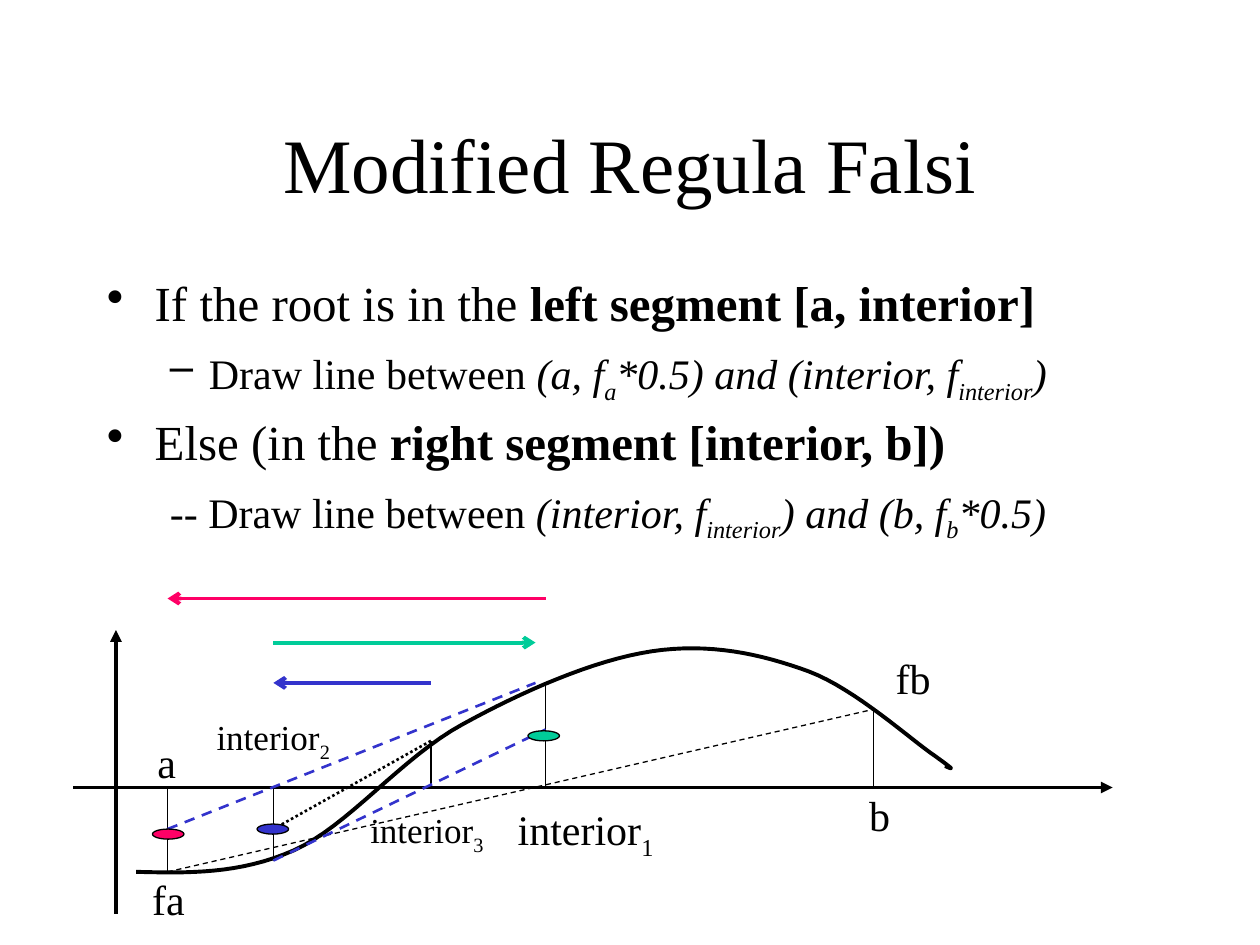
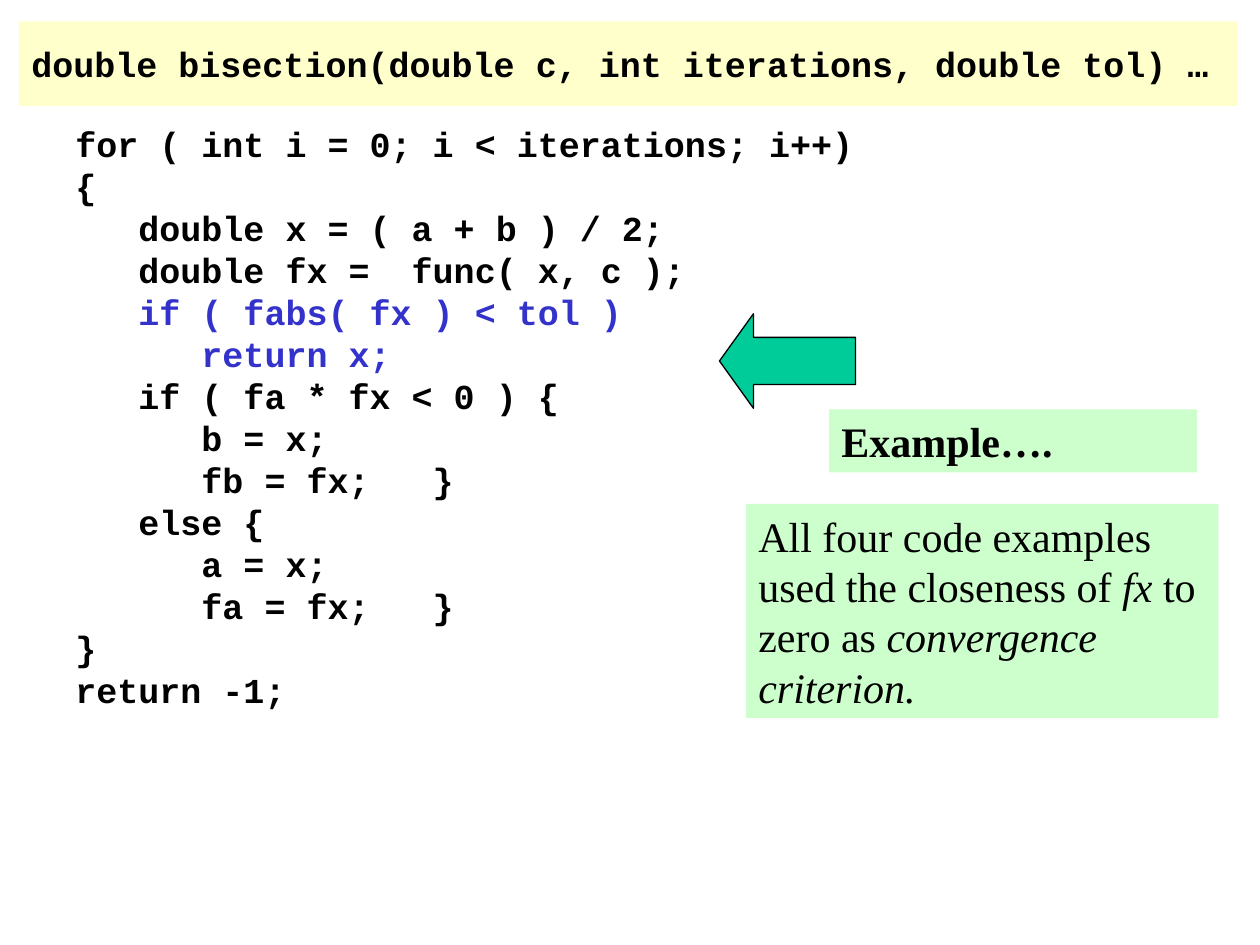
from lxml import etree
from pptx import Presentation
from pptx.dml.color import RGBColor
from pptx.enum.dml import MSO_LINE
from pptx.enum.shapes import MSO_CONNECTOR, MSO_SHAPE
from pptx.enum.text import MSO_ANCHOR, MSO_AUTO_SIZE, PP_ALIGN
from pptx.oxml.ns import qn
from pptx.util import Inches, Pt

STRAIGHT = MSO_CONNECTOR.STRAIGHT
DASH = MSO_LINE.DASH
DOT = MSO_LINE.ROUND_DOT
OVAL = MSO_SHAPE.OVAL
RECTANGLE = MSO_SHAPE.RECTANGLE
LEFT_ARROW = MSO_SHAPE.LEFT_ARROW
MIDDLE = MSO_ANCHOR.MIDDLE
TOP = MSO_ANCHOR.TOP
CENTER = PP_ALIGN.CENTER
LEFT = PP_ALIGN.LEFT
NO_AUTOFIT = MSO_AUTO_SIZE.NONE

TITLE_ONLY, BLANK = 5, 6
SERIF, MONO = "Times New Roman", "Courier New"
BLACK, BLUE, GREEN, PINK = "000000", "3333CC", "00CC99", "FF0066"
PALE_YELLOW, PALE_GREEN = "FFFFCC", "CCFFCC"

AXIS_Y = 6.25
A_X, INTERIOR_2_X, INTERIOR_3_X, INTERIOR_1_X, B_X = 1.33, 2.17, 3.42, 4.33, 6.93
FA_Y, INTERIOR_2_Y, INTERIOR_3_Y, INTERIOR_1_Y, FB_Y = 6.92, 6.83, 5.88, 5.42, 5.63

CURVE_START = (1.08, 6.92)
CURVE_SEGMENTS = [
    ((1.49, 6.93), (1.9, 6.94), (2.33, 6.75)),
    ((2.76, 6.56), (3.19, 6.01), (3.67, 5.75)),
    ((4.14, 5.49), (4.71, 5.24), (5.17, 5.17)),
    ((5.63, 5.1), (6.04, 5.19), (6.42, 5.33)),
    ((6.79, 5.47), (7.24, 5.88), (7.42, 6)),
    ((7.6, 6.13), (7.55, 6.1), (7.5, 6.08)),
]
STEPS = 16

CODE = """for ( int i = 0; i < iterations; i++)
{
   double x = ( a + b ) / 2;
   double fx =  func( x, c );
   if ( fabs( fx ) < tol )
      return x;
   if ( fa * fx < 0 ) {
      b = x;
      fb = fx;   }
   else {
      a = x;
      fa = fx;   }
}
return -1;"""
HIGHLIGHTED_CODE = ("if ( fabs( fx ) < tol )", "return x;")


def rgb(color):
    return RGBColor.from_string(color)


def write_text(paragraph, text, font=SERIF, size=24, color=BLACK,
               bold=False, italic=False, subscript=False):
    run = paragraph.add_run()
    run.text = text
    run.font.name = font
    run.font.size = Pt(size)
    run.font.color.rgb = rgb(color)
    run.font.bold = bold
    run.font.italic = italic
    if subscript:
        run.font._element.set("baseline", "-25000")


def prepare_frame(shape, anchor=TOP, wrap=True):
    frame = shape.text_frame
    frame.auto_size = NO_AUTOFIT
    frame.word_wrap = wrap
    frame.vertical_anchor = anchor
    frame.paragraphs[0].alignment = LEFT
    return frame


def next_paragraph(frame, index):
    return frame.add_paragraph() if index else frame.paragraphs[0]


def add_text_box(slide, left, top, width, height, wrap=True):
    box = slide.shapes.add_textbox(Inches(left), Inches(top), Inches(width), Inches(height))
    return prepare_frame(box, wrap=wrap)


def add_title(slide, text):
    title = slide.shapes.title
    title.left, title.top = Inches(0.75), Inches(0.67)
    title.width, title.height = Inches(8.5), Inches(1.25)
    paragraph = prepare_frame(title, MIDDLE).paragraphs[0]
    paragraph.alignment = CENTER
    write_text(paragraph, text, size=44)


def add_bullets(slide, bullets):
    frame = add_text_box(slide, 0.75, 2.17, 8.5, 2.5)
    for index, (level, symbol, runs) in enumerate(bullets):
        paragraph = next_paragraph(frame, index)
        paragraph.level = level
        margin, indent = ((0.38, -0.38), (0.81, -0.31))[level]
        properties = paragraph._p.get_or_add_pPr()
        properties.set("marL", str(Inches(margin)))
        properties.set("indent", str(Inches(indent)))
        if symbol:
            etree.SubElement(properties, qn("a:buChar")).set("char", symbol)
        else:
            etree.SubElement(properties, qn("a:buNone"))
        paragraph.line_spacing = 0.9
        if index:
            paragraph.space_before = Pt((10.5, 9)[level])
        for text, style in runs:
            write_text(paragraph, text, size=(28, 24)[level], **style)


def add_label(slide, text, left, top, width, height=0.5, number="", size=24):
    paragraph = add_text_box(slide, left, top, width, height, wrap=False).paragraphs[0]
    write_text(paragraph, text, size=size)
    if number:
        write_text(paragraph, number, size=size, subscript=True)


def add_line(slide, start, end, color=BLACK, width=0.75, dash=None, head=None, tail=None):
    connector = slide.shapes.add_connector(STRAIGHT, *map(Inches, (*start, *end)))
    connector.line.color.rgb = rgb(color)
    connector.line.width = Pt(width)
    if dash:
        connector.line.dash_style = dash
    outline = connector.line._get_or_add_ln()
    for tag, kind in (("a:headEnd", head), ("a:tailEnd", tail)):
        if kind:
            etree.SubElement(outline, qn(tag)).set("type", kind)
    etree.SubElement(connector._element.spPr, qn("a:effectLst"))


def add_filled_shape(slide, kind, left, top, width, height, fill, outlined=False):
    shape = slide.shapes.add_shape(kind, Inches(left), Inches(top), Inches(width), Inches(height))
    shape.shadow.inherit = False
    shape.fill.solid()
    shape.fill.fore_color.rgb = rgb(fill)
    if outlined:
        shape.line.color.rgb = rgb(BLACK)
        shape.line.width = Pt(0.75)
    else:
        shape.line.fill.background()
    return shape


def add_panel(slide, left, top, width, height, fill, runs, anchor=TOP):
    panel = add_filled_shape(slide, RECTANGLE, left, top, width, height, fill)
    paragraph = prepare_frame(panel, anchor).paragraphs[0]
    for text, style in runs:
        write_text(paragraph, text, **style)


def bezier_point(points, t):
    weights = ((1 - t) ** 3, 3 * t * (1 - t) ** 2, 3 * t ** 2 * (1 - t), t ** 3)
    return tuple(Inches(sum(w * p[axis] for w, p in zip(weights, points))) for axis in (0, 1))


def add_function_curve(slide):
    builder = slide.shapes.build_freeform(*map(Inches, CURVE_START))
    start = CURVE_START
    vertices = []
    for segment in CURVE_SEGMENTS:
        vertices += [bezier_point((start, *segment), step / STEPS) for step in range(1, STEPS + 1)]
        start = segment[-1]
    builder.add_line_segments(vertices, close=False)
    curve = builder.convert_to_shape()
    curve.shadow.inherit = False
    curve.fill.background()
    curve.line.color.rgb = rgb(BLACK)
    curve.line.width = Pt(2.25)


def add_plot(slide):
    add_line(slide, (0.92, 5), (0.92, 7.25), width=2.25, head="triangle")
    add_line(slide, (0.58, AXIS_Y), (8.83, AXIS_Y), width=2.25, tail="triangle")
    add_function_curve(slide)

    for x, y in ((A_X, FA_Y), (INTERIOR_2_X, INTERIOR_2_Y), (INTERIOR_3_X, INTERIOR_3_Y),
                 (INTERIOR_1_X, INTERIOR_1_Y), (B_X, FB_Y)):
        add_line(slide, (x, AXIS_Y), (x, y))

    add_line(slide, (A_X, FA_Y), (B_X, FB_Y), dash=DASH)
    add_line(slide, (A_X, 6.58), (4.25, INTERIOR_1_Y), BLUE, 1.5, DASH)
    add_line(slide, (INTERIOR_2_X, INTERIOR_2_Y), (INTERIOR_1_X, 5.79), BLUE, 1.5, DASH)
    add_line(slide, (INTERIOR_3_X, INTERIOR_3_Y), (INTERIOR_2_X, 6.58), width=1.5, dash=DOT)

    add_line(slide, (A_X, 4.75), (INTERIOR_1_X, 4.75), PINK, 2.25, head="arrow")
    add_line(slide, (INTERIOR_2_X, 5.1), (4.25, 5.1), GREEN, 2.25, tail="arrow")
    add_line(slide, (INTERIOR_2_X, 5.42), (INTERIOR_3_X, 5.42), BLUE, 2.25, head="arrow")

    for left, top, color in ((1.21, 6.58, PINK), (4.19, 5.8, GREEN), (2.04, 6.54, BLUE)):
        add_filled_shape(slide, OVAL, left, top, 0.25, 0.08, color, outlined=True)

    add_label(slide, "a", 1.15, 5.8, 0.35)
    add_label(slide, "b", 6.8, 6.22, 0.37)
    add_label(slide, "fa", 1.11, 6.88, 0.46)
    add_label(slide, "fb", 7.01, 5.13, 0.48)
    add_label(slide, "interior", 4.01, 6.33, 1.28, 0.56, number="1")
    add_label(slide, "interior", 1.62, 5.63, 1.35, 0.48, number="2", size=20)
    add_label(slide, "interior", 2.84, 6.37, 1.35, 0.48, number="3", size=20)


def add_code(slide):
    frame = add_text_box(slide, 0.5, 0.92, 6.46, 5.1)
    for index, line in enumerate(CODE.splitlines()):
        color = BLUE if line.strip() in HIGHLIGHTED_CODE else BLACK
        write_text(next_paragraph(frame, index), line, font=MONO, size=20, color=color, bold=True)


def build_regula_falsi_slide(presentation):
    slide = presentation.slides.add_slide(presentation.slide_layouts[TITLE_ONLY])
    add_title(slide, "Modified Regula Falsi")
    plain, bold, italic = {}, {"bold": True}, {"italic": True}
    lowered = {"italic": True, "subscript": True}
    add_bullets(slide, [
        (0, "•", [("If the root is in the ", plain), ("left segment [a, interior]", bold)]),
        (1, "–", [("Draw line between ", plain), ("(a, f", italic), ("a", lowered),
                  ("*0.5) and (interior, f", italic), ("interior", lowered), (")", italic)]),
        (0, "•", [("Else (in the ", plain), ("right segment [interior, b])", bold)]),
        (1, "", [("-- Draw line between ", plain), ("(interior, f", italic),
                 ("interior", lowered), (") and (b, f", italic), ("b", lowered),
                 ("*0.5)", italic)]),
    ])
    add_plot(slide)


def build_bisection_slide(presentation):
    slide = presentation.slides.add_slide(presentation.slide_layouts[BLANK])
    signature = "double bisection(double c, int iterations, double tol) …"
    add_panel(slide, 0.15, 0.17, 9.67, 0.67, PALE_YELLOW,
              [(signature, {"font": MONO, "size": 20, "bold": True})], MIDDLE)
    add_code(slide)
    add_panel(slide, 6.58, 3.25, 2.92, 0.5, PALE_GREEN, [("Example….", {"bold": True})])
    arrow = add_filled_shape(slide, LEFT_ARROW, 5.71, 2.49, 1.08, 0.75, GREEN, outlined=True)
    arrow.adjustments[1] = 0.36
    add_panel(slide, 5.92, 4, 3.75, 1.7, PALE_GREEN, [
        ("All four code examples used the closeness of ", {}),
        ("fx ", {"italic": True}),
        ("to zero as ", {}),
        ("convergence criterion.", {"italic": True}),
    ])


def main():
    presentation = Presentation()
    presentation.slide_width, presentation.slide_height = Inches(10), Inches(7.5)
    build_regula_falsi_slide(presentation)
    build_bisection_slide(presentation)
    presentation.save("out.pptx")


if __name__ == "__main__":
    main()
